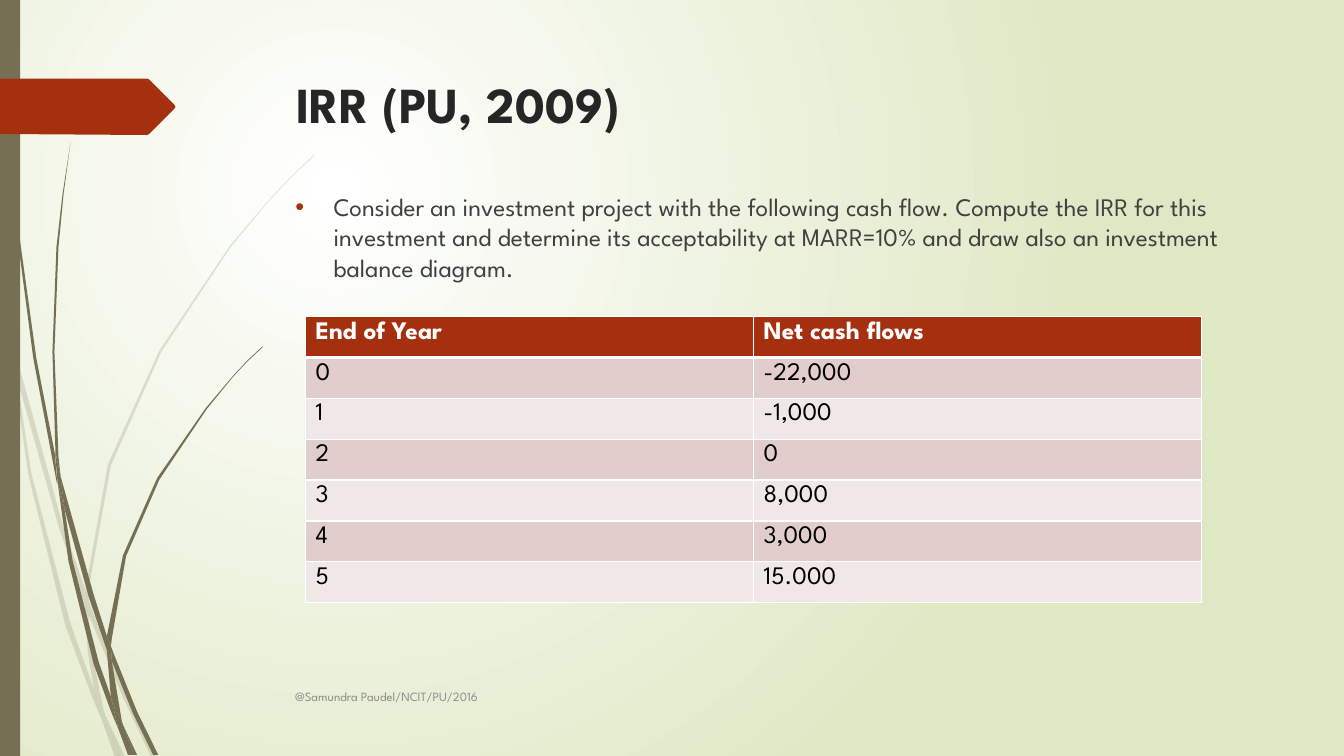
"""Build the IRR exercise slide on a grid of 1333 columns by 750 rows."""
from lxml import etree
from pptx import Presentation, util as u
from pptx.dml.color import RGBColor
from pptx.enum import shapes, text
from pptx.oxml.ns import qn

COLS, ROWS = 1333, 750
UNIT = u.Inches(0.01)
FONT = "League Spartan"
C = {"olive": "766F54", "rust": "A53010", "white": "FFFFFF", "green": "DFE8C4",
     "title": "262626", "body": "404040", "footer": "8C8C8C", "cell": "000000",
     "band": "E1CDCC", "pale": "F0E8E7"}

PALE_WISPS = [
    "11,350 9,322 0,282 0,299 10,344",
    "58,522 84,599 85,586 62,520 14,345 17,376",
    "92,607 88,596 88,610 123,694 150,751 155,751 127,692",
    "119,751 124,751 105,711",
    "93,683 70,619 31,469 17,376 11,350 28,470 65,621 92,693 101,714 99,707",
    "84,599 87,646 93,683 96,692 105,711 103,706 91,646 88,610 88,608",
    "88,584 110,462 160,349 229,245 268,198 290,175 312,154 312,153 289,175 268,197 228,244 158,348 "
    "107,461 85,584 85,586 88,596",
    "101,714 114,751 119,751",
    "88,608 88,610 88,596 85,586 84,599",
    "96,692 93,683 99,707 101,714 119,751 105,711",
]
DARK_WISPS = [
    "7,110 17,233 33,355 56,477 57,481 55,457 55,453 36,355 19,232 8,109 5,48 4,0 3,0 4,48",
    "88,592 106,645 106,633 106,631 93,590 60,472 64,505",
    "113,649 110,641 111,656 132,708 152,749 157,749 136,706",
    "110,691 98,657 72,556 64,505 57,477 68,557 93,659 111,708 117,722 116,717",
    "60,472 58,453 54,349 58,245 63,193 70,141 62,193 56,245 52,349 55,449",
    "133,749 136,749 122,719",
    "57,477 64,505 60,472 55,449 55,453",
    "111,633 125,552 158,476 205,406 231,374 245,359 261,344 260,344 245,358 231,373 204,405 156,474 "
    "122,551 106,631 110,641",
    "117,722 127,749 131,749",
    "106,645 110,691 116,706 122,719 121,716 111,656 109,651",
    "106,645 109,651 111,656 110,641 106,631 106,633",
    "116,706 110,691 116,717 117,722 130,749 133,749 122,719",
]
RIBBON = "0,78 146,78 148,79 173,104 174,106 173,108 148,133 146,134 0,133"


def draw_outline(parent, outline, colour):
    pts = [tuple(int(n) * UNIT for n in pair.split(",")) for pair in outline.split()]
    builder = parent.build_freeform(*pts[0])
    builder.add_line_segments(pts[1:])
    sp = builder.convert_to_shape()
    sp.shadow.inherit = False
    sp.fill.solid()
    sp.fill.fore_color.rgb = RGBColor.from_string(C[colour])
    sp.line.fill.background()
    return sp


def write(tf, words, size, colour, bold=False):
    p = tf.paragraphs[0]
    r = p.add_run()
    r.text = words
    r.font.size, r.font.name, r.font.bold = u.Pt(size), FONT, bold
    r.font.color.rgb = RGBColor.from_string(C[colour])
    return p


prs = Presentation()
prs.slide_width, prs.slide_height = COLS * UNIT, ROWS * UNIT
s = prs.slides.add_slide(prs.slide_layouts[6])

bg = s.background.fill
bg.gradient()
for stop, place, colour in zip(bg.gradient_stops, (0, 1), ("white", "green")):
    stop.position = place
    stop.color.rgb = RGBColor.from_string(C[colour])
grad = s.element.find(".//" + qn("a:gradFill"))
grad.remove(grad.find(qn("a:lin")))
circle = etree.SubElement(grad, qn("a:path"), path="circle")
etree.SubElement(circle, qn("a:fillToRect"), l="50000", t="50000", r="100000", b="100000")

for wisps, opacity in ((PALE_WISPS, 20), (DARK_WISPS, 100)):
    group = s.shapes.add_group_shape()
    for wisp in wisps:
        sp = draw_outline(group.shapes, wisp, "olive")
        if opacity < 100:
            clr = sp.element.spPr.find(qn("a:solidFill")).find(qn("a:srgbClr"))
            etree.SubElement(clr, qn("a:alpha"), val=str(opacity * 1000))

bar = s.shapes.add_shape(shapes.MSO_SHAPE.RECTANGLE, 0, 0, 20 * UNIT, ROWS * UNIT)
bar.shadow.inherit = False
bar.fill.solid()
bar.fill.fore_color.rgb = RGBColor.from_string(C["olive"])
bar.line.fill.background()
draw_outline(s.shapes, RIBBON, "rust")

question = ("Consider an investment project with the following cash flow. Compute the IRR for this investment "
            "and determine its acceptability at MARR=10% and draw also an investment balance diagram.")
top, middle = text.MSO_ANCHOR.TOP, text.MSO_ANCHOR.MIDDLE
paragraphs = []
for box, anchor, words, size, colour, bold in (
        ((284, 68, 975, 140), top, "IRR (PU, 2009)", 36, "title", True),
        ((283, 185, 975, 413), top, question, 18, "body", False),
        ((283, 671, 833, 40), middle, "@Samundra Paudel/NCIT/PU/2016", 9, "footer", False)):
    tf = s.shapes.add_textbox(*(n * UNIT for n in box)).text_frame
    tf.word_wrap, tf.vertical_anchor = True, anchor
    paragraphs.append(write(tf, words, size, colour, bold))
p = paragraphs[1]
p.space_before = u.Pt(10)
pPr = p._p.get_or_add_pPr()
pPr.set("marL", str(u.Inches(0.38)))
pPr.set("indent", str(-u.Inches(0.38)))
bullet = etree.SubElement(pPr, qn("a:buClr"))
etree.SubElement(bullet, qn("a:srgbClr"), val=C["rust"])
etree.SubElement(pPr, qn("a:buFont"), typeface="Arial")
etree.SubElement(pPr, qn("a:buChar"), char="•")

flows = [("End of Year", "Net cash flows"), ("0", "-22,000"), ("1", "-1,000"), ("2", "0"),
         ("3", "8,000"), ("4", "3,000"), ("5", "15.000")]
table = s.shapes.add_table(len(flows), 2, 303 * UNIT, 314 * UNIT, 889 * UNIT, 284 * UNIT).table
for i, row in enumerate(flows):
    for j, words in enumerate(row):
        cell = table.cell(i, j)
        write(cell.text_frame, words, 18, "cell" if i else "white", i == 0)
        tcPr = cell._tc.get_or_add_tcPr()
        for side in "LRTB":
            width = 3 if (i, side) in ((0, "B"), (1, "T")) else 1
            ln = etree.SubElement(tcPr, qn("a:ln" + side), w=str(u.Pt(width)))
            fill = etree.SubElement(ln, qn("a:solidFill"))
            etree.SubElement(fill, qn("a:srgbClr"), val=C["white"])
        cell.fill.solid()
        shade = "rust" if i == 0 else ("pale", "band")[i % 2]
        cell.fill.fore_color.rgb = RGBColor.from_string(C[shade])

prs.save("out.pptx")
